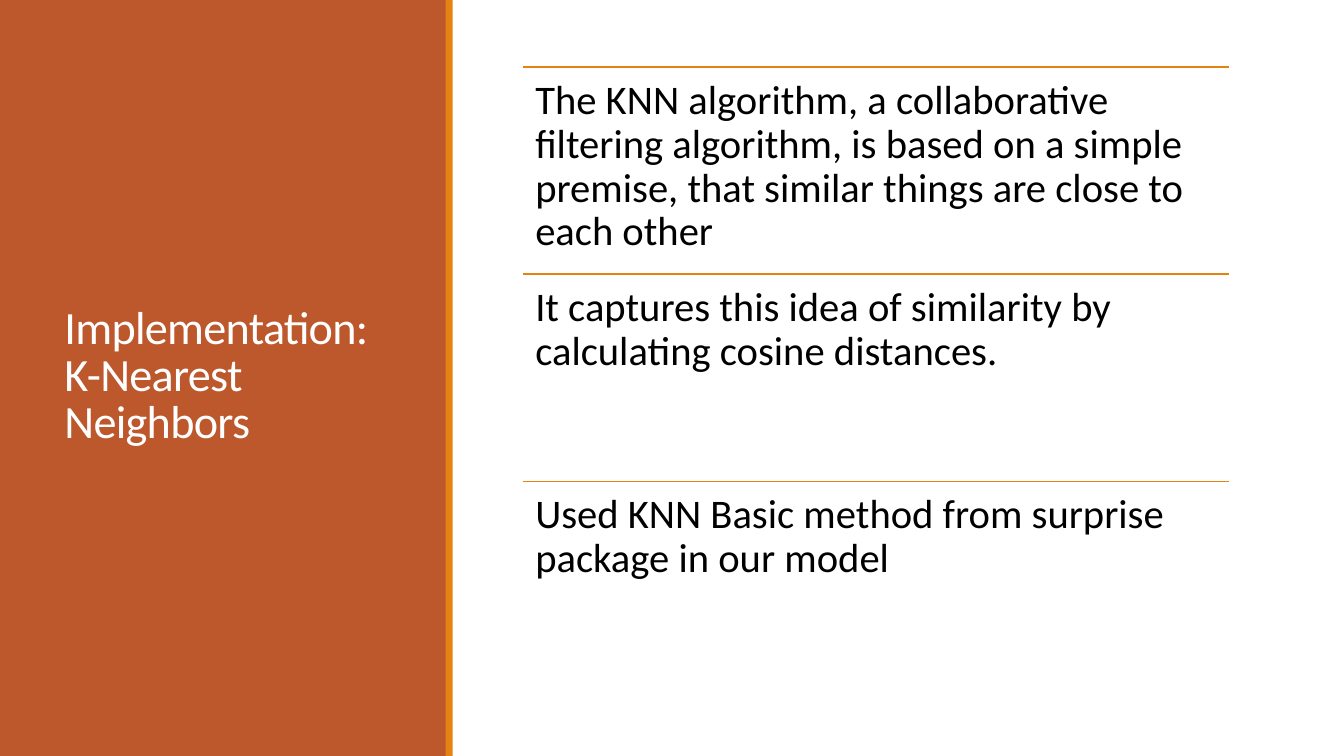
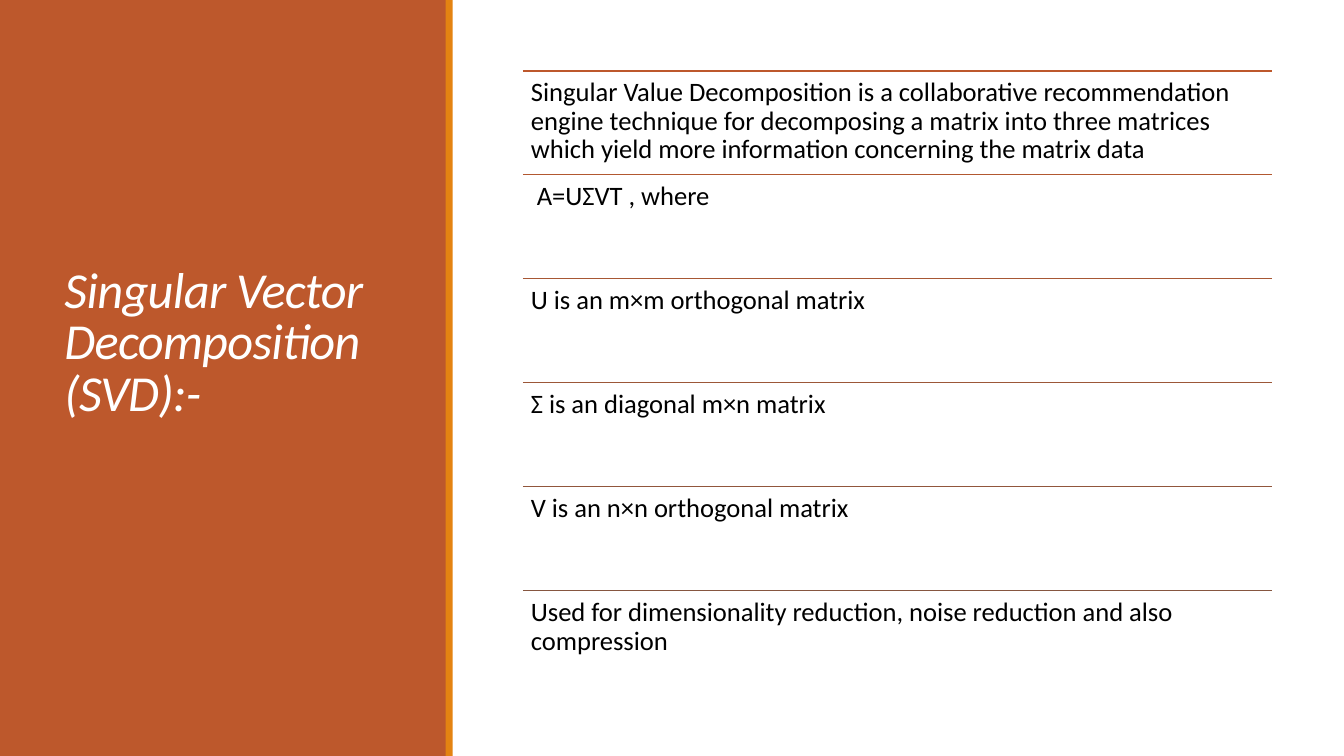
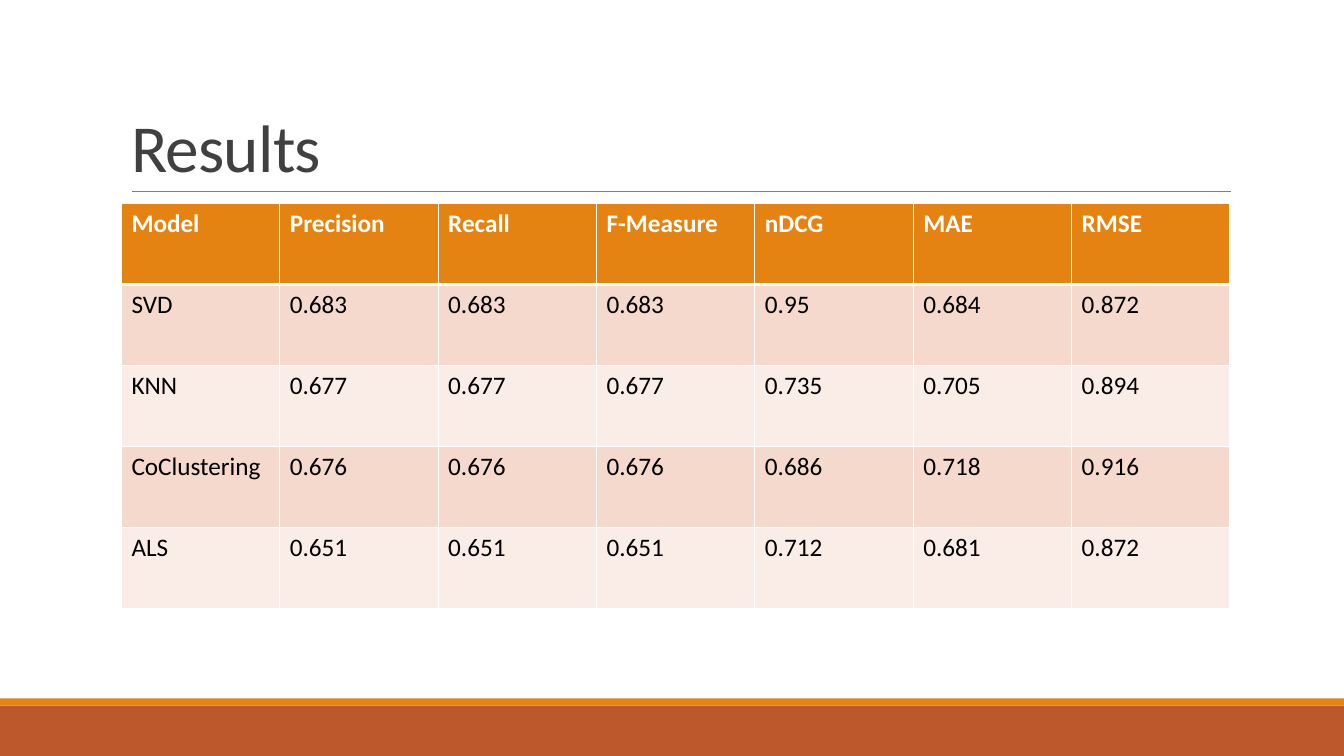
from lxml import etree
from pptx import Presentation
from pptx.dml.color import RGBColor
from pptx.enum.shapes import MSO_CONNECTOR, MSO_SHAPE
from pptx.enum.text import MSO_ANCHOR, MSO_AUTO_SIZE, PP_ALIGN
from pptx.oxml.ns import qn
from pptx.util import Cm, Pt

RECT = MSO_SHAPE.RECTANGLE
LINE = MSO_CONNECTOR.STRAIGHT
MIDDLE = MSO_ANCHOR.MIDDLE
BOTTOM = MSO_ANCHOR.BOTTOM
LEFT = PP_ALIGN.LEFT
FIXED = MSO_AUTO_SIZE.NONE

RUST = RGBColor(0xBD, 0x58, 0x2C)
BROWN = RGBColor(0x86, 0x56, 0x40)
ORANGE = RGBColor(0xE4, 0x83, 0x12)
ROSE = RGBColor(0xF5, 0xD9, 0xCC)
BLUSH = RGBColor(0xFA, 0xED, 0xE7)
WHITE = RGBColor(0xFF, 0xFF, 0xFF)
BLACK = RGBColor(0, 0, 0)
DARK = RGBColor(0x40, 0x40, 0x40)
GREY = RGBColor(0x80, 0x80, 0x80)

FONT = "Calibri"
WIDE, HIGH = 33.87, 19.05


def blend(first, last, part):
    """Return the colour that lies at part (0 to 1) between two colours."""
    return RGBColor(*(round(a + (b - a) * part) for a, b in zip(first, last)))


class Deck:
    """Holds the presentation, its style and the current slide."""

    def __init__(self):
        self.show = Presentation()
        self.show.slide_width, self.show.slide_height = Cm(WIDE), Cm(HIGH)
        self.slide = None

    def start(self):
        self.slide = self.show.slides.add_slide(self.show.slide_layouts[5])

    def rect(self, left, top, width, height, color):
        shape = self.slide.shapes.add_shape(
            RECT, Cm(left), Cm(top), Cm(width), Cm(height))
        shape.shadow.inherit = False
        shape.fill.solid()
        shape.fill.fore_color.rgb = color
        shape.line.fill.background()

    def rule(self, left, top, width, color, weight=1.25):
        line = self.slide.shapes.add_connector(
            LINE, Cm(left), Cm(top), Cm(left + width), Cm(top))
        line.line.color.rgb = color
        line.line.width = Pt(weight)
        etree.SubElement(line._element.spPr, qn("a:effectLst"))

    def words(self, frame, text, size, color, bold=False, italic=False):
        """Add one styled run to the first paragraph of a frame."""
        para = frame.paragraphs[0]
        para.alignment = LEFT
        run = para.add_run()
        run.text = text
        font = run.font
        font.name, font.size, font.color.rgb = FONT, Pt(size), color
        font.bold, font.italic = bold, italic
        return para, run

    def title(self, text, box, size, color, anchor, italic=False):
        shape = self.slide.shapes.title
        shape.left, shape.top, shape.width, shape.height = map(Cm, box)
        frame = shape.text_frame
        frame.word_wrap, frame.auto_size = True, FIXED
        frame.vertical_anchor = anchor
        para, run = self.words(frame, text, size, color, italic=italic)
        para.line_spacing = 0.85
        run._r.get_or_add_rPr().set("spc", "-50")
        # Bring the title in front of the panel
        self.slide.shapes._spTree.append(shape._element)

    def text(self, left, top, width, height, text, size, inset):
        box = self.slide.shapes.add_textbox(
            Cm(left), Cm(top), Cm(width), Cm(height))
        frame = box.text_frame
        frame.word_wrap = True
        frame.margin_left = frame.margin_right = Cm(inset)
        frame.margin_top = frame.margin_bottom = Cm(inset)
        para, _ = self.words(frame, text, size, BLACK)
        para.line_spacing = 0.9

    def panel(self):
        self.rect(0, 0, 11.25, HIGH, RUST)
        self.rect(11.23, 0, 0.18, HIGH, ORANGE)

    def bands(self):
        self.rect(0, 17.78, WIDE, 1.27, RUST)
        self.rect(0, 17.6, WIDE, 0.18, ORANGE)

    def rows(self, items, top, width, step, size, inset, first, last):
        """Stack texts under rules whose colour runs from first to last."""
        left = 13.18
        for i, item in enumerate(items):
            y = top + i * step
            color = blend(first, last, i / (len(items) - 1))
            self.rule(left, y, width, color)
            self.text(left, y, width, step, item, size, inset)

    def border(self, cell, side, weight):
        line = etree.SubElement(cell._tc.get_or_add_tcPr(), qn("a:" + side),
                                w=str(Pt(weight)))
        fill = etree.SubElement(line, qn("a:solidFill"))
        etree.SubElement(fill, qn("a:srgbClr"), val=str(WHITE))

    def table(self, data, left, top, width, height):
        table = self.slide.shapes.add_table(
            len(data), len(data[0]), Cm(left), Cm(top), Cm(width),
            Cm(height)).table
        for r, values in enumerate(data):
            head = r == 0
            fill = ORANGE if head else ROSE if r % 2 else BLUSH
            for c, value in enumerate(values):
                cell = table.cell(r, c)
                for side in ("lnL", "lnR", "lnT", "lnB"):
                    thick = (r, side) in ((0, "lnB"), (1, "lnT"))
                    self.border(cell, side, 3 if thick else 1)
                cell.fill.solid()
                cell.fill.fore_color.rgb = fill
                self.words(cell.text_frame, value, 18,
                           WHITE if head else BLACK, bold=head)


def main():
    deck = Deck()

    deck.start()
    deck.panel()
    deck.title("Implementation: K-Nearest Neighbors",
               (1.37, 1.68, 8.56, 15.67), 33, WHITE, MIDDLE)
    deck.rows([
        "The KNN algorithm, a collaborative filtering algorithm, is based on "
        "a simple premise, that similar things are close to each other",
        "It captures this idea of similarity by calculating cosine distances.",
        "Used KNN Basic method from surprise package in our model",
    ], 1.69, 17.8, 5.22, 29, 0.31, ORANGE, ORANGE)

    deck.start()
    deck.panel()
    deck.title("Singular Vector Decomposition (SVD):-",
               (1.37, 0.66, 8.56, 16.03), 36, WHITE, MIDDLE, italic=True)
    deck.rows([
        "Singular Value Decomposition is a collaborative recommendation "
        "engine technique for decomposing a matrix into three matrices "
        "which yield more information concerning the matrix data",
        " A=UΣVT , where",
        "U is an m×m orthogonal matrix",
        "Σ is an diagonal m×n matrix",
        "V is an n×n orthogonal matrix",
        "Used for dimensionality reduction, noise reduction and also "
        "compression",
    ], 1.78, 18.87, 2.62, 19, 0.2, RUST, BROWN)

    deck.start()
    deck.bands()
    deck.rule(3.33, 4.83, 27.69, GREY, 0.5)
    deck.title("Results", (3.05, 0.79, 27.94, 4.04), 48, DARK, BOTTOM)
    deck.table([
        ("Model", "Precision", "Recall", "F-Measure", "nDCG", "MAE", "RMSE"),
        ("SVD", "0.683", "0.683", "0.683", "0.95", "0.684", "0.872"),
        ("KNN", "0.677", "0.677", "0.677", "0.735", "0.705", "0.894"),
        ("CoClustering", "0.676", "0.676", "0.676", "0.686", "0.718",
         "0.916"),
        ("ALS", "0.651", "0.651", "0.651", "0.712", "0.681", "0.872"),
    ], 3.06, 5.13, 27.94, 10.21)

    deck.show.save("out.pptx")


if __name__ == "__main__":
    main()
